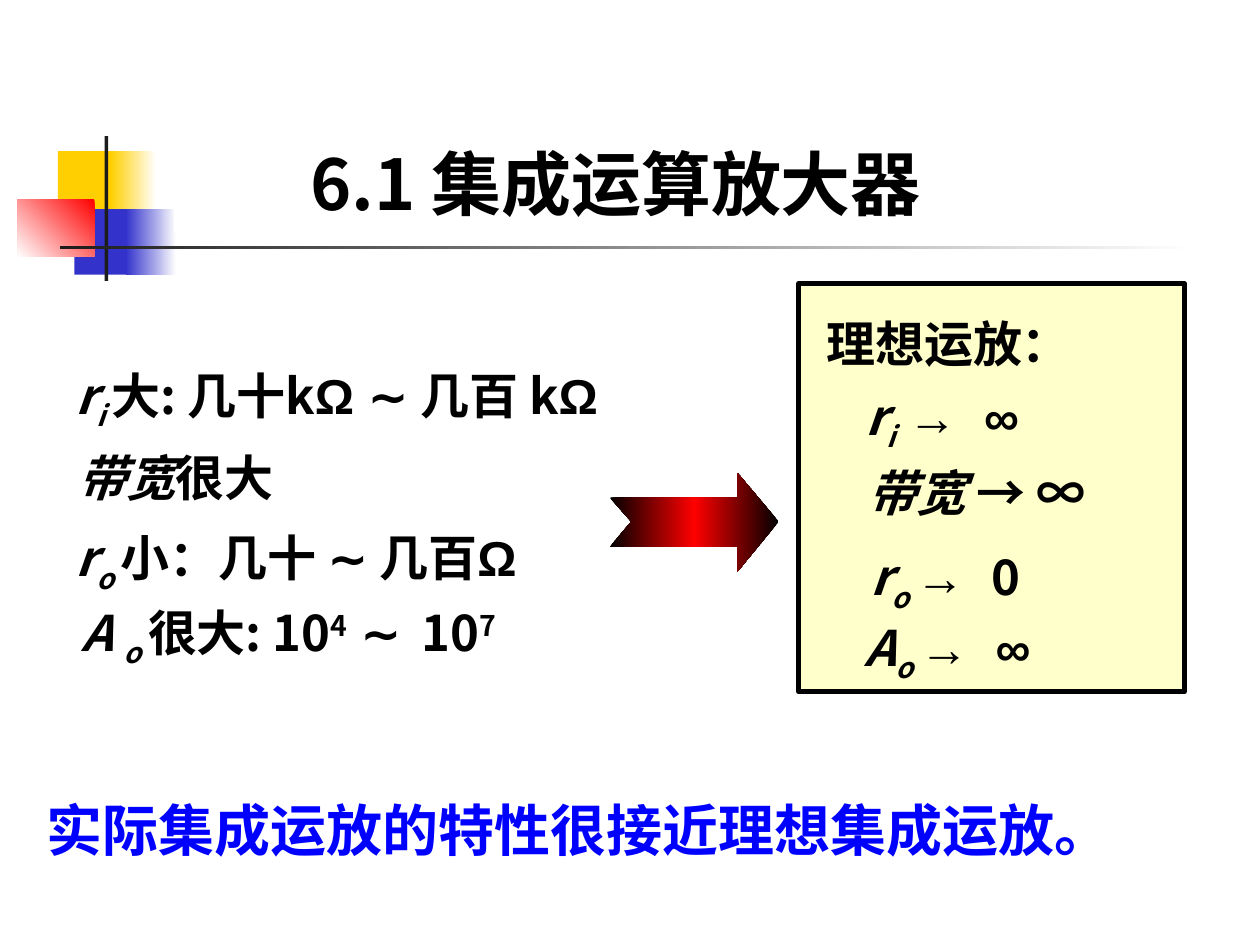
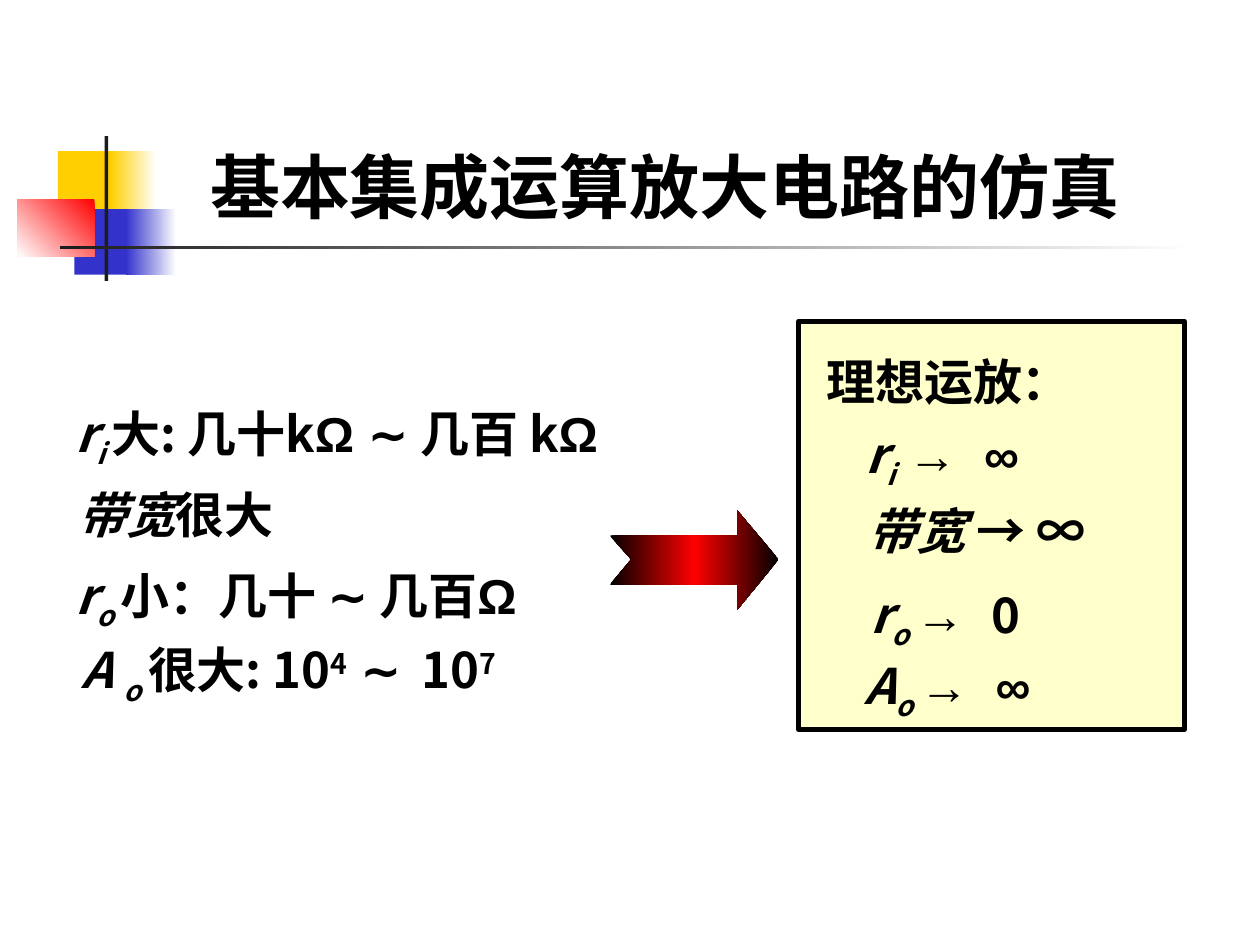
from lxml import etree
from pptx import Presentation
from pptx.dml.color import RGBColor
from pptx.enum.shapes import MSO_SHAPE as Kind
from pptx.enum.text import MSO_AUTO_SIZE as Auto, PP_ALIGN as Align
from pptx.oxml.ns import qn
from pptx.util import Inches, Pt

SANS, ARIAL = "Noto Sans CJK SC", "Arial"
BLACK, WHITE, BLUE, RED = "000000", "FFFFFF", "0000FF", "FF0000"
GOLD, NAVY, DARK, CREAM = "FFCF01", "3333CC", "1C1C1C", "FFFF99"

PLAIN = {}
ITAL = {"ital": True}
SUB = {"ital": True, "base": -25}
SUP = {"base": 30}
SIGN = {"font": ARIAL}
WIDE = {"font": ARIAL, "east": SANS}

DECOR = [
    ((0.46, 1.2, 0.48, 0.52), [GOLD], 0),
    ((0.88, 1.2, 0.36, 0.52), [WHITE, GOLD], 180),
    ((0.59, 1.66, 0.46, 0.52), [NAVY], 0),
    ((1, 1.66, 0.4, 0.52), [WHITE, NAVY], 180),
    ((0.14, 1.58, 0.61, 0.46), [RED, WHITE], 135),
    ((0.83, 1.08, 0.03, 1.15), [DARK], 0),
    ((0.48, 1.95, 9, 0.03), [WHITE, DARK], 180),
]

REAL = [
    ((0.41, 2.85, 5.61, 0.63), [(" ", PLAIN), ("r", ITAL), ("i ", SUB), ("大: 几十k", PLAIN),
                                ("Ω ∼ ", SIGN), ("几百 k", PLAIN), ("Ω", SIGN)]),
    ((0.52, 3.5, 3.41, 0.57), [("带宽", ITAL), ("很大", PLAIN)]),
    ((0.41, 4.14, 4.96, 0.63), [(" r", ITAL), ("o ", SUB), ("小：几十 ", PLAIN),
                                ("∼", SIGN), (" 几百", PLAIN), ("Ω", SIGN)]),
    ((0.46, 4.73, 4.99, 0.63), [(" A ", ITAL), ("o ", SUB), ("很大: 10", PLAIN), ("4  ", SUP),
                                ("∼", SIGN), ("  10", PLAIN), ("7", SUP)]),
]
IDEAL = [
    ((6.46, 2.44, 2.56, 0.57), [("理想运放：", PLAIN)]),
    ((6.68, 3.02, 2.65, 0.63), [(" r", ITAL), ("i  ", SUB), ("→  ∞", SIGN)]),
    ((6.79, 3.62, 2.89, 0.63), [("带宽 ", ITAL), ("→ ∞", WIDE)]),
    ((6.72, 4.29, 1.84, 0.63), [(" r", ITAL), ("o ", SUB), ("→  ", SIGN), ("0", PLAIN)]),
    ((6.76, 4.85, 2, 0.63), [("A", ITAL), ("o ", SUB), ("→  ∞", SIGN)]),
]
FRAME = (6.34, 2.25, 3.06, 3.24)
ARROW = [(4.84, 3.95), (5.85, 3.95), (5.85, 3.75), (6.18, 4.14),
         (5.85, 4.54), (5.85, 4.34), (4.84, 4.34), (5.01, 4.14)]

PAGES = [
    {"title": "6.1 集成运算放大器", "spot": (1.38, 1.07, 7.01, 0.77), "fill": WHITE, "drop": 0,
     "note": "实际集成运放的特性很接近理想集成运放。"},
    {"title": "基本集成运算放大电路的仿真", "spot": (1.3, 1.09, 7.95, 0.77), "drop": 0.3},
]
NOTE = (0.27, 6.16, 9.54, 0.74)


def tint(code):
    return RGBColor.from_string(code)


def move(spot, drop):
    left, top, *size = spot
    return (left, top + drop, *size)


def paint(shape, hues, angle=0):
    shape.shadow.inherit = False
    shape.line.fill.background()
    if len(hues) == 1:
        shape.fill.solid()
        shape.fill.fore_color.rgb = tint(hues[0])
        return
    shape.fill.gradient()
    shape.fill.gradient_angle = -angle % 360
    stops = shape._element.spPr.find(".//" + qn("a:gsLst"))
    for old in list(stops):
        stops.remove(old)
    for i, hue in enumerate(hues):
        stop = etree.SubElement(stops, qn("a:gs"), pos=str(100000 * i // (len(hues) - 1)))
        etree.SubElement(stop, qn("a:srgbClr"), val=hue)


def block(shapes, spot, hues, angle=0):
    shape = shapes.add_shape(Kind.RECTANGLE, *map(Inches, spot))
    paint(shape, hues, angle)
    return shape


def style(run, size, hue, font=SANS, east=None, ital=False, base=0):
    run.font.size = Pt(size)
    run.font.name = font
    run.font.bold = True
    run.font.italic = ital
    run.font.color.rgb = tint(hue)
    props = run.font._element
    etree.SubElement(props, qn("a:ea"), typeface=east or font)
    if base:
        props.set("baseline", str(base * 1000))


def write(shapes, spot, text, size=28, hue=BLACK, fill=None, align=Align.LEFT, gap=17.5, lead=None):
    box = shapes.add_textbox(*map(Inches, spot))
    if fill:
        paint(box, [fill])
    frame = box.text_frame
    frame.word_wrap = True
    frame.auto_size = Auto.SHAPE_TO_FIT_TEXT
    para = frame.paragraphs[0]
    para.alignment = align
    para.space_before = Pt(gap)
    para.line_spacing = lead
    for part, form in [(text, PLAIN)] if isinstance(text, str) else text:
        run = para.add_run()
        run.text = part
        style(run, size, hue, **form)


def card(shapes, drop):
    group = shapes.add_group_shape().shapes
    frame = block(group, move(FRAME, drop), [CREAM])
    frame.line.color.rgb = tint(BLACK)
    frame.line.width = Pt(3)
    color = frame._element.spPr.find(qn("a:solidFill")).find(qn("a:srgbClr"))
    etree.SubElement(color, qn("a:alpha"), val="50000")
    for spot, text in IDEAL:
        write(group, move(spot, drop), text)


def arrow(shapes, drop):
    dots = [(Inches(x), Inches(y + drop)) for x, y in ARROW]
    build = shapes.build_freeform(*dots[0])
    build.add_line_segments(dots[1:], close=True)
    paint(build.convert_to_shape(), [BLACK, RED, BLACK], 180)


def draw(deck, page):
    shapes = deck.slides.add_slide(deck.slide_layouts[6]).shapes
    drop = page["drop"]
    for part in DECOR:
        block(shapes, *part)
    for spot, text in REAL:
        write(shapes, move(spot, drop), text)
    card(shapes, drop)
    arrow(shapes, drop)
    write(shapes, page["spot"], page["title"], size=40, fill=page.get("fill"),
          align=Align.CENTER, gap=25)
    if "note" in page:
        write(shapes, NOTE, page["note"], size=32, hue=BLUE, align=Align.JUSTIFY, gap=8, lead=1.2)


def main():
    deck = Presentation()
    deck.slide_width, deck.slide_height = Inches(10), Inches(7.5)
    for page in PAGES:
        draw(deck, page)
    deck.save("out.pptx")


if __name__ == "__main__":
    main()
